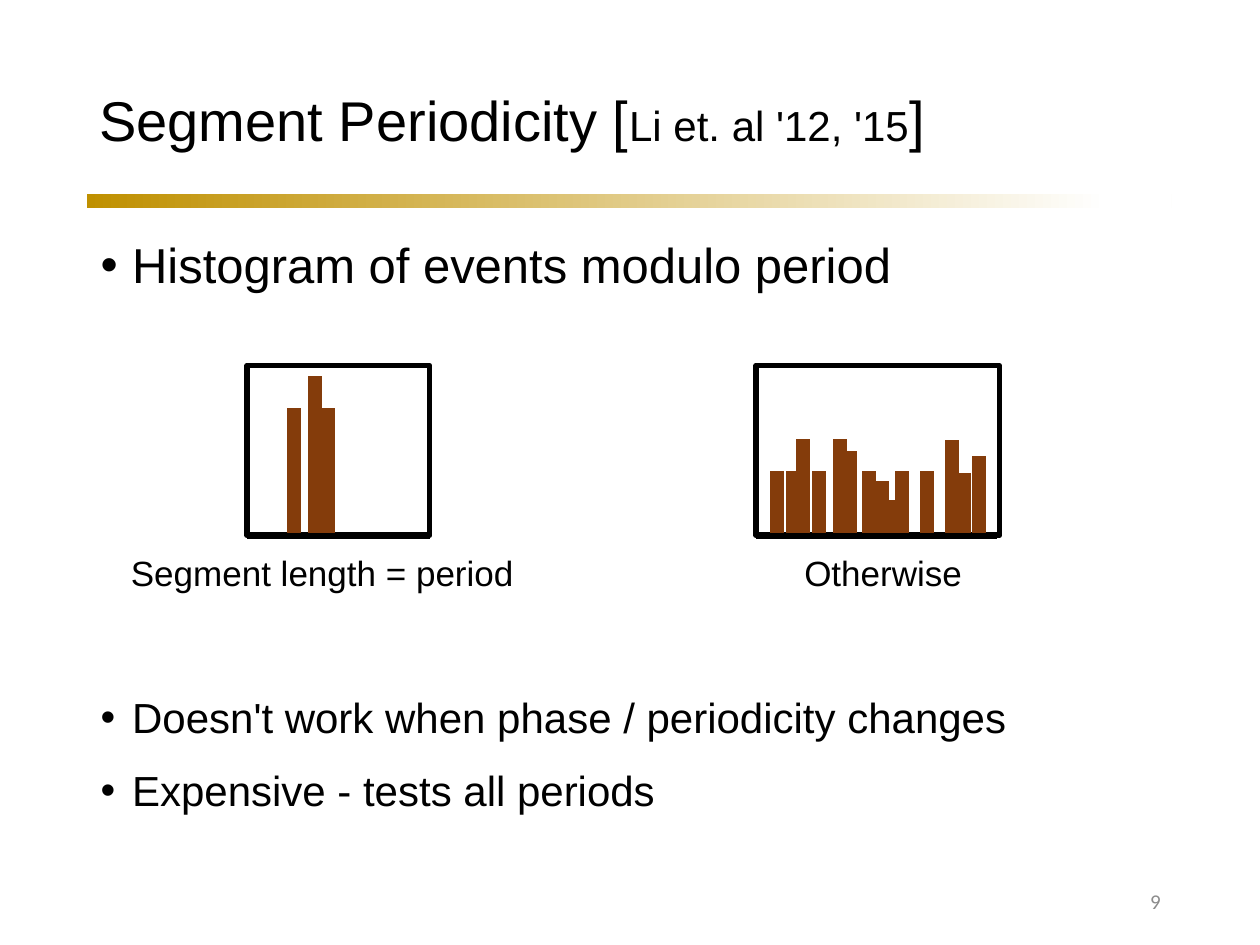
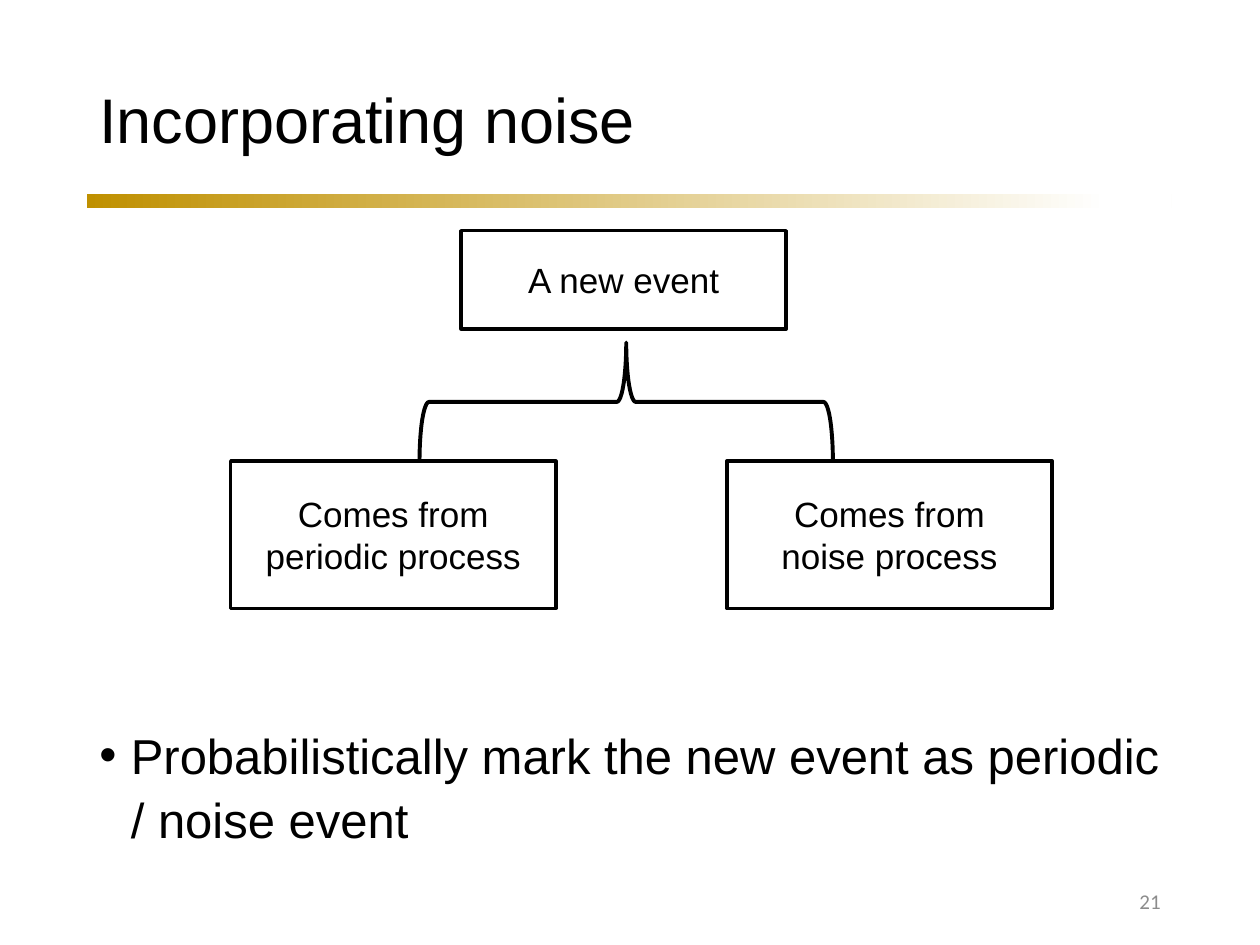
from dataclasses import dataclass

from lxml import etree
from pptx import Presentation
from pptx.dml.color import RGBColor
from pptx.enum.shapes import MSO_CONNECTOR, MSO_SHAPE
from pptx.enum.text import MSO_ANCHOR, PP_ALIGN
from pptx.oxml.ns import qn
from pptx.util import Pt

RECTANGLE = MSO_SHAPE.RECTANGLE
LEFT_BRACE = MSO_SHAPE.LEFT_BRACE
STRAIGHT = MSO_CONNECTOR.STRAIGHT
LEFT, CENTER, RIGHT = PP_ALIGN.LEFT, PP_ALIGN.CENTER, PP_ALIGN.RIGHT
TOP, MIDDLE = MSO_ANCHOR.TOP, MSO_ANCHOR.MIDDLE

COLORS = {
    "ink": "000000",
    "paper": "FFFFFF",
    "gold": "BF9000",
    "bar": "843C0B",
    "muted": "8C8C8C",
}
MARGIN = 49.7
CONTENT_WIDTH = 620.6
FRAME_TOP = 208.8
BASELINE = 306


@dataclass(frozen=True)
class Area:
    left: float
    top: float
    width: float
    height: float

    def lengths(self) -> tuple:
        return Pt(self.left), Pt(self.top), Pt(self.width), Pt(self.height)


@dataclass(frozen=True)
class Span:
    text: str
    size: float


@dataclass(frozen=True)
class Bar:
    center: float
    height: float


@dataclass(frozen=True)
class Histogram:
    left: float
    width: float
    baseline_width: float
    bars: tuple[Bar, ...]
    caption: str
    caption_area: Area
    caption_align: PP_ALIGN


@dataclass(frozen=True)
class EventBox:
    text: str
    area: Area


HISTOGRAMS = (
    Histogram(
        141.1, 104.4, 104.4,
        (Bar(167.8, 72.7), Bar(180, 91.4), Bar(187.2, 72.7)),
        "Segment length = period", Area(67.7, 311.8, 283.7, 31), LEFT,
    ),
    Histogram(
        432, 139, 137.5,
        (
            Bar(444.2, 36.7), Bar(452.9, 36.7), Bar(458.6, 55.4), Bar(468, 36.7),
            Bar(480.2, 55.4), Bar(486, 48.2), Bar(496.8, 36.7), Bar(504, 31),
            Bar(510.5, 20.2), Bar(515.5, 36.7), Bar(529.9, 36.7), Bar(544.3, 54.7),
            Bar(550.8, 36), Bar(559.4, 45.4),
        ),
        "Otherwise", Area(436.3, 311.8, 136.8, 31), CENTER,
    ),
)

EVENT_BOXES = (
    EventBox("Comes from periodic process", Area(131.8, 263.5, 185.8, 84.2)),
    EventBox("Comes from\nnoise process", Area(415.4, 263.5, 185.8, 84.2)),
    EventBox("A new event", Area(263.5, 131.8, 185.8, 56.2)),
)


def color(name: str) -> RGBColor:
    return RGBColor.from_string(COLORS[name])


def write_text(box, text: str | list[Span], *, size: float = 20, font: str = "Arial",
               ink: str = "ink", align: PP_ALIGN = LEFT, anchor: MSO_ANCHOR = TOP,
               line_spacing: float = 1, gap: float = 0, bullet: bool = False) -> None:
    frame = box.text_frame
    frame.word_wrap = True
    frame.vertical_anchor = anchor
    if isinstance(text, str):
        lines = [[Span(line, size)] for line in text.split("\n")]
    else:
        lines = [text]
    for index, spans in enumerate(lines):
        para = frame.add_paragraph() if index else frame.paragraphs[0]
        para.alignment = align
        para.line_spacing = line_spacing
        if index:
            para.space_before = Pt(gap)
        if bullet:
            add_bullet(para)
        for span in spans:
            run = para.add_run()
            run.text = span.text
            run.font.size = Pt(span.size)
            run.font.name = font
            run.font.color.rgb = color(ink)


def add_bullet(para) -> None:
    properties = para._p.get_or_add_pPr()
    properties.set("marL", str(Pt(18)))
    properties.set("indent", str(-Pt(18)))
    etree.SubElement(properties, qn("a:buFont")).set("typeface", "Arial")
    etree.SubElement(properties, qn("a:buChar")).set("char", "•")


def add_text(page, area: Area, text: str | list[Span], **style) -> None:
    write_text(page.shapes.add_textbox(*area.lengths()), text, **style)


def add_bullets(page, area: Area, text: str, size: float) -> None:
    add_text(page, area, text, size=size, line_spacing=1.1, gap=10, bullet=True)


def add_outline(shapes, kind: MSO_SHAPE, area: Area, weight: float, fill: str | None = None):
    shape = shapes.add_shape(kind, *area.lengths())
    shape.shadow.inherit = False
    if fill:
        shape.fill.solid()
        shape.fill.fore_color.rgb = color(fill)
    else:
        shape.fill.background()
    shape.line.color.rgb = color("ink")
    shape.line.width = Pt(weight)
    return shape


def add_line(shapes, start: tuple[float, float], end: tuple[float, float],
             ink: str, weight: float) -> None:
    line = shapes.add_connector(STRAIGHT, *(Pt(value) for value in start + end))
    line.line.color.rgb = color(ink)
    line.line.width = Pt(weight)
    etree.SubElement(line._element.spPr, qn("a:effectLst"))


def add_page(deck, title: list[Span], number: int):
    page = deck.slides.add_slide(deck.slide_layouts[6])
    band = page.shapes.add_shape(RECTANGLE, *Area(MARGIN, 110.9, 619.9, 7.9).lengths())
    band.shadow.inherit = False
    band.line.fill.background()
    band.fill.gradient()
    band.fill.gradient_angle = 0
    for stop, name, position in zip(band.fill.gradient_stops, ("gold", "paper"), (0, 0.94)):
        stop.color.rgb = color(name)
        stop.position = position
    add_text(page, Area(MARGIN, 29.2, CONTENT_WIDTH, 82), title,
             anchor=MIDDLE, line_spacing=0.9)
    add_text(page, Area(508.3, 500.4, 162, 28.8), str(number), size=12, font="Calibri",
             ink="muted", align=RIGHT, anchor=MIDDLE)
    return page


def add_histogram(page, histogram: Histogram) -> None:
    shapes = page.shapes.add_group_shape().shapes
    add_line(shapes, (histogram.left, BASELINE),
             (histogram.left + histogram.baseline_width, BASELINE), "ink", 3.75)
    for bar in histogram.bars:
        add_line(shapes, (bar.center, BASELINE - 1),
                 (bar.center, BASELINE - bar.height), "bar", 8)
    frame_area = Area(histogram.left, FRAME_TOP, histogram.width, BASELINE - FRAME_TOP)
    add_outline(shapes, RECTANGLE, frame_area, 3)
    add_text(page, histogram.caption_area, histogram.caption, align=histogram.caption_align)


def build_periodicity(deck) -> None:
    title = [Span("Segment Periodicity [", 32), Span("Li et. al '12, '15", 24), Span("]", 32)]
    page = add_page(deck, title, 9)
    add_bullets(page, Area(50.4, 127.4, CONTENT_WIDTH, 38.2),
                "Histogram of events modulo period", 28)
    for histogram in HISTOGRAMS:
        add_histogram(page, histogram)
    add_bullets(page, Area(50.4, 388.8, CONTENT_WIDTH, 87.1),
                "Doesn't work when phase / periodicity changes\nExpensive - tests all periods", 24)


def build_noise(deck) -> None:
    page = add_page(deck, [Span("Incorporating noise", 36)], 21)
    for event in EVENT_BOXES:
        box = add_outline(page.shapes, RECTANGLE, event.area, 2, "paper")
        write_text(box, event.text, align=CENTER, anchor=MIDDLE)
    brace = add_outline(page.shapes, LEFT_BRACE, Area(324, 111.6, 67.7, 236.2), 2.25)
    brace.rotation = 90
    brace.adjustments[0] = 0.08
    brace.adjustments[1] = 0.5
    add_bullets(page, Area(MARGIN, 407.5, CONTENT_WIDTH, 49.7),
                "Probabilistically mark the new event as periodic / noise event", 28)


def main() -> None:
    deck = Presentation()
    deck.slide_width = Pt(720)
    deck.slide_height = Pt(540)
    build_periodicity(deck)
    build_noise(deck)
    deck.save("out.pptx")


if __name__ == "__main__":
    main()
